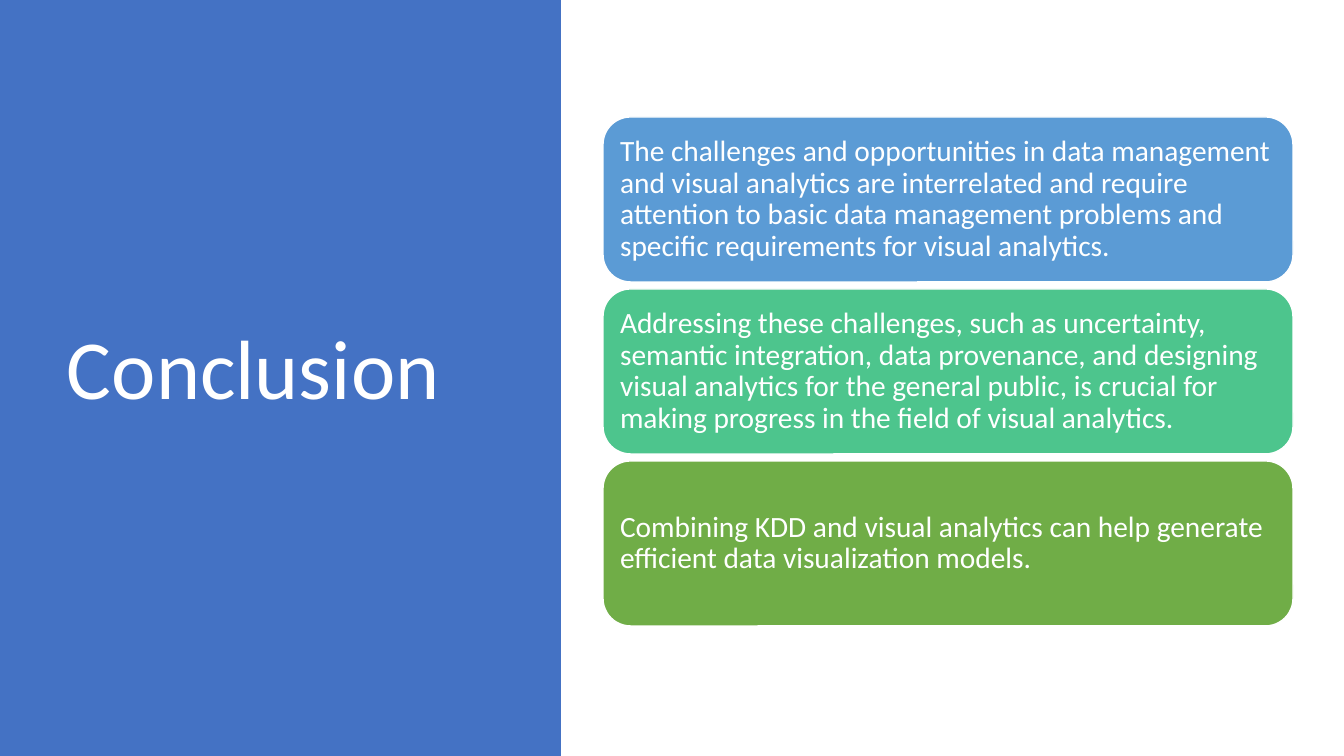
"""Build the Conclusion slide: a title panel beside three stacked takeaways."""
from dataclasses import dataclass

from pptx import Presentation
from pptx import util as u
from pptx.dml.color import RGBColor
from pptx.enum import shapes, text

WIDTH, HEIGHT = 1344, 756
EMU_PER_PX = 12192000 / WIDTH


def px(length):
    return u.Emu(round(length * EMU_PER_PX))


@dataclass(frozen=True)
class Theme:
    font: str = "Calibri"
    light: str = "FFFFFF"
    panel: str = "4472C4"
    cards: tuple = ("5B9BD5", "4DC58D", "70AD47")
    title_size: int = 60
    card_size: int = 21
    line_spacing: float = 0.9


class SlideBuilder:
    def __init__(self, slide, theme):
        self.slide = slide
        self.theme = theme

    def set_wording(self, shape, wording, size, inset):
        frame = shape.text_frame
        frame.text = wording
        frame.word_wrap = True
        frame.auto_size = text.MSO_AUTO_SIZE.NONE
        frame.vertical_anchor = text.MSO_ANCHOR.MIDDLE
        frame.margin_left = frame.margin_right = px(inset)
        frame.margin_top = frame.margin_bottom = px(inset)
        for paragraph in frame.paragraphs:
            paragraph.alignment = text.PP_ALIGN.LEFT
            paragraph.line_spacing = self.theme.line_spacing
            for run in paragraph.runs:
                run.font.name = self.theme.font
                run.font.size = u.Pt(size)
                run.font.color.rgb = RGBColor.from_string(self.theme.light)

    def block(self, kind, box, fill):
        shape = self.slide.shapes.add_shape(kind, *map(px, box))
        shape.shadow.inherit = False
        shape.fill.solid()
        shape.fill.fore_color.rgb = RGBColor.from_string(fill)
        return shape

    def panel(self, box):
        panel = self.block(shapes.MSO_SHAPE.RECTANGLE, box, self.theme.panel)
        panel.line.fill.background()
        self.slide.shapes.title.element.addprevious(panel.element)

    def title(self, wording, box):
        title = self.slide.shapes.title
        title.left, title.top, title.width, title.height = map(px, box)
        self.set_wording(title, wording, self.theme.title_size, inset=10)

    def card(self, wording, box, fill):
        card = self.block(shapes.MSO_SHAPE.ROUNDED_RECTANGLE, box, fill)
        card.line.color.rgb = RGBColor.from_string(self.theme.light)
        card.line.width = u.Pt(1)
        self.set_wording(card, wording, self.theme.card_size, inset=9)


TAKEAWAYS = (
    "The challenges and opportunities in data management and visual analytics "
    "are interrelated and require attention to basic data management problems "
    "and specific requirements for visual analytics.",
    "Addressing these challenges, such as uncertainty, semantic integration, "
    "data provenance, and designing visual analytics for the general public, "
    "is crucial for making progress in the field of visual analytics.",
    "Combining KDD and visual analytics can help generate efficient data "
    "visualization models.",
)
CARD_LEFT, CARD_TOP, CARD_WIDTH, CARD_HEIGHT, CARD_PITCH = 603, 117, 690, 165, 172


def main():
    presentation = Presentation()
    presentation.slide_width, presentation.slide_height = px(WIDTH), px(HEIGHT)
    title_only = presentation.slide_layouts.get_by_name("Title Only")
    theme = Theme()
    builder = SlideBuilder(presentation.slides.add_slide(title_only), theme)

    builder.panel((0, 0, 561, HEIGHT))
    builder.title("Conclusion", (57, 69, 419, 607))
    for index, (wording, fill) in enumerate(zip(TAKEAWAYS, theme.cards)):
        top = CARD_TOP + index * CARD_PITCH
        builder.card(wording, (CARD_LEFT, top, CARD_WIDTH, CARD_HEIGHT), fill)

    presentation.save("out.pptx")


if __name__ == "__main__":
    main()
